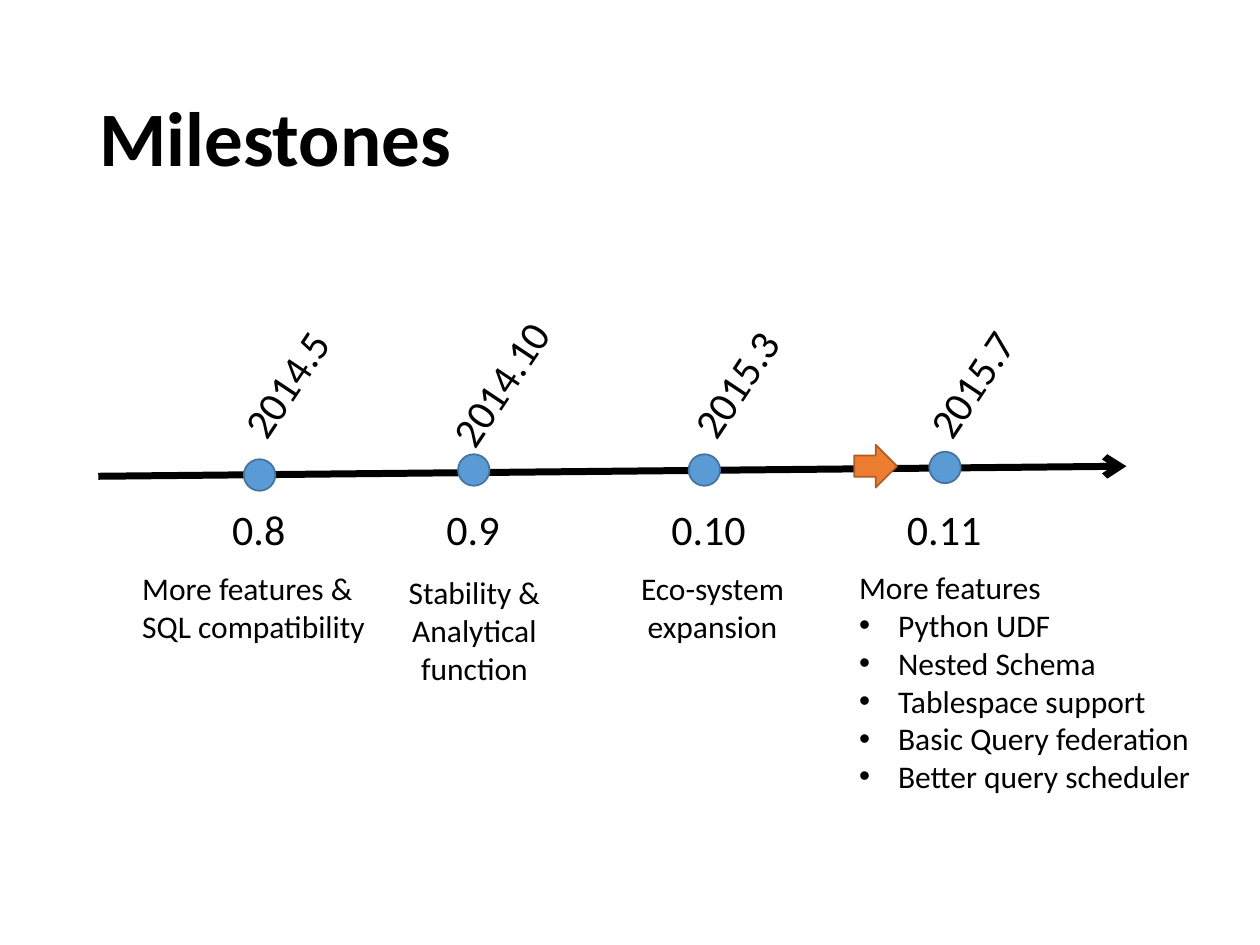
from lxml import etree
from pptx import Presentation
from pptx import util as u
from pptx.dml.color import RGBColor
from pptx.enum import shapes, text
from pptx.oxml.ns import qn

WIDTH, HEIGHT = 10, 7.5
BLACK, BLUE, BLUE_EDGE = "000000", "5B9BD5", "43739E"
ORANGE, ORANGE_EDGE = "ED7D31", "AF5C24"
LEFT, CENTER = text.PP_ALIGN.LEFT, text.PP_ALIGN.CENTER
NODE, ROW, INDENT, TILT = 0.25, 0.5, 0.31, 303.7
LABEL_TOP, DATE_TOP, DATE_SHIFT = 3.95, 2.79, 0.21
AXIS = (0.78, 3.78, 8.94, 3.7)
MARKER = (6.78, 3.53, 0.34, 0.34)

MILESTONES = [
    {"version": "0.8", "label": (2.06, 0.63), "node": (2.06, 3.77),
     "date": "2014.5", "date_width": 1.14, "note_at": (1.03, 4.47, 1.99, 0.71),
     "align": LEFT, "note": ["More features & \vSQL compatibility"], "bullets": []},
    {"version": "0.9", "label": (3.76, 0.63), "node": (3.76, 3.73),
     "date": "2014.10", "date_width": 1.31, "note_at": (3.14, 4.5, 1.25, 1.01),
     "align": CENTER, "note": ["Stability &", "Analytical\vfunction"], "bullets": []},
    {"version": "0.10", "label": (5.63, 0.8), "node": (5.59, 3.73),
     "date": "2015.3", "date_width": 1.14, "note_at": (4.98, 4.47, 1.35, 0.71),
     "align": CENTER, "note": ["Eco-system", "expansion"], "bullets": []},
    {"version": "0.11", "label": (7.5, 0.8), "node": (7.5, 3.71),
     "date": "2015.7", "date_width": 1.14, "note_at": (6.72, 4.46, 2.87, 2.52),
     "align": LEFT, "note": ["More features"],
     "bullets": ["Python UDF", "Nested Schema", "Tablespace support",
                 "Basic Query federation", "Better query scheduler"]},
]


def color(value):
    """Turn a hex string into a colour."""
    return RGBColor.from_string(value)


def inches(values):
    """Turn numbers into slide lengths."""
    return [u.Inches(value) for value in values]


def add_bullet(para):
    """Give a paragraph a round bullet and a hanging indent."""
    props = para._p.get_or_add_pPr()
    props.set("marL", str(u.Inches(INDENT)))
    props.set("indent", str(-u.Inches(INDENT)))
    etree.SubElement(props, qn("a:buFont")).set("typeface", "Arial")
    etree.SubElement(props, qn("a:buChar")).set("char", "•")


def add_text(page, at, lines, size, bullets=(), align=LEFT, bold=False, wrap=False,
             anchor=text.MSO_ANCHOR.TOP, spacing=None, rotation=0):
    """Add a text box with plain lines followed by bulleted ones."""
    box = page.shapes.add_textbox(*inches(at))
    box.rotation = rotation
    frame = box.text_frame
    frame.word_wrap, frame.vertical_anchor = wrap, anchor
    font = {"name": "Calibri", "size": u.Pt(size), "bold": bold}
    for index, line in enumerate([*lines, *bullets]):
        para = frame.add_paragraph() if index else frame.paragraphs[0]
        para.text, para.alignment, para.line_spacing = line, align, spacing
        if index >= len(lines):
            add_bullet(para)
        for span in para.runs:
            for name, value in font.items():
                setattr(span.font, name, value)
            span.font.color.rgb = color(BLACK)


def add_shape(page, kind, at, fill, edge):
    """Add a filled and outlined preset shape."""
    shape = page.shapes.add_shape(kind, *inches(at))
    shape.shadow.inherit = False
    shape.fill.solid()
    shape.fill.fore_color.rgb = color(fill)
    shape.line.color.rgb = color(edge)
    shape.line.width = u.Pt(1)


def add_axis(page):
    """Add the timeline arrow."""
    axis = page.shapes.add_connector(shapes.MSO_CONNECTOR.STRAIGHT, *inches(AXIS))
    axis.line.color.rgb = color(BLACK)
    axis.line.width = u.Pt(4)
    etree.SubElement(axis.line._get_or_add_ln(), qn("a:tailEnd")).set("type", "arrow")
    etree.SubElement(axis._element.spPr, qn("a:effectLst"))


def add_milestone(page, item):
    """Add one milestone with its node, version, date and note."""
    x, y = item["node"]
    add_shape(page, shapes.MSO_SHAPE.OVAL, (x - NODE / 2, y - NODE / 2, NODE, NODE),
              BLUE, BLUE_EDGE)
    center, width = item["label"]
    add_text(page, (center - width / 2, LABEL_TOP, width, ROW), [item["version"]], 24)
    width = item["date_width"]
    add_text(page, (center + DATE_SHIFT - width / 2, DATE_TOP, width, ROW),
             [item["date"]], 24, rotation=TILT)
    add_text(page, item["note_at"], item["note"], 18, item["bullets"], item["align"])


def main():
    """Build the milestones slide."""
    deck = Presentation()
    deck.slide_width, deck.slide_height = inches((WIDTH, HEIGHT))
    page = deck.slides.add_slide(deck.slide_layouts[6])
    add_text(page, (0.69, 0.4, 8.62, 1.45), ["Milestones"], 44, bold=True, wrap=True,
             anchor=text.MSO_ANCHOR.MIDDLE, spacing=0.9)
    add_axis(page)
    for item in MILESTONES:
        add_milestone(page, item)
    add_shape(page, shapes.MSO_SHAPE.RIGHT_ARROW, MARKER, ORANGE, ORANGE_EDGE)
    deck.save("out.pptx")


if __name__ == "__main__":
    main()
